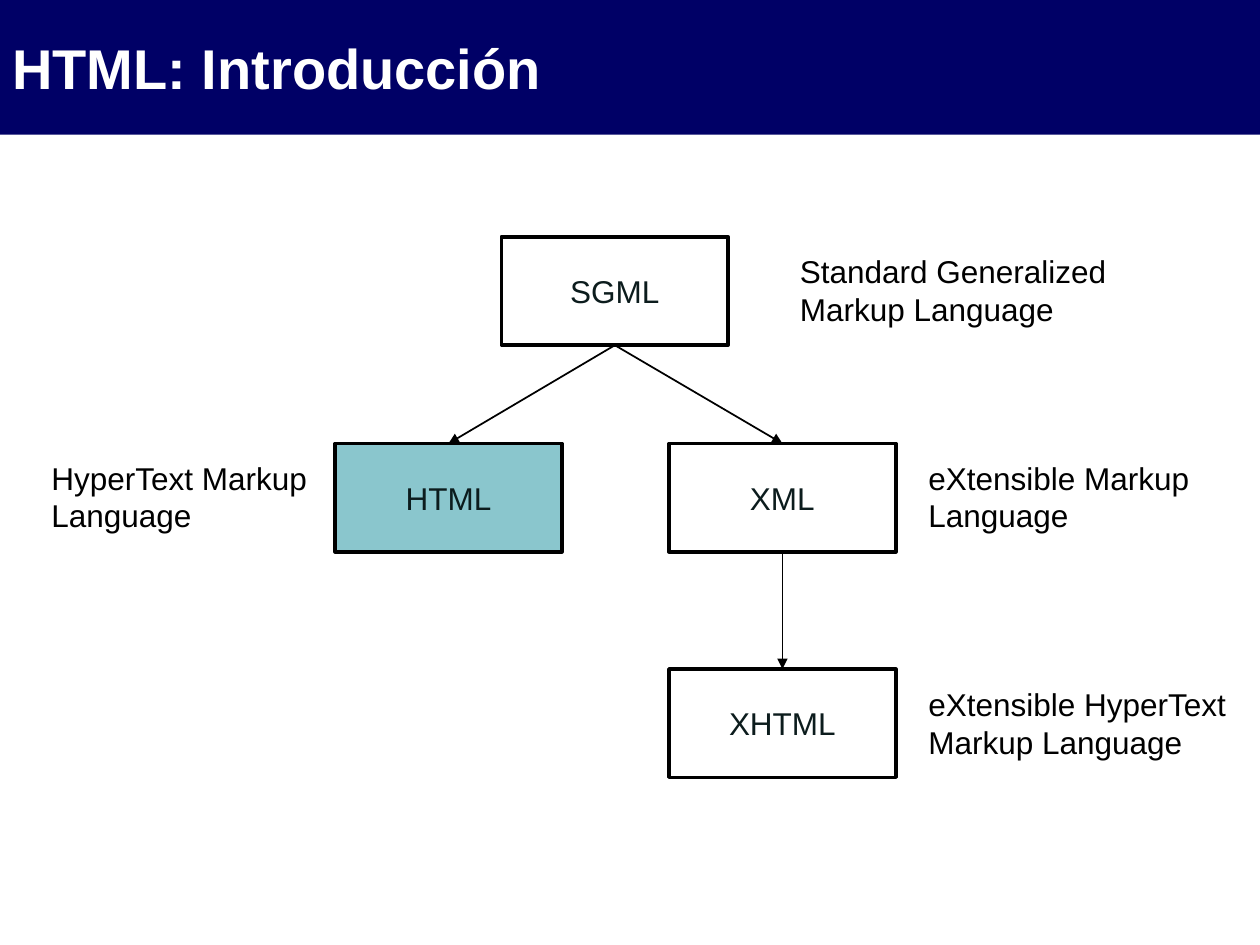
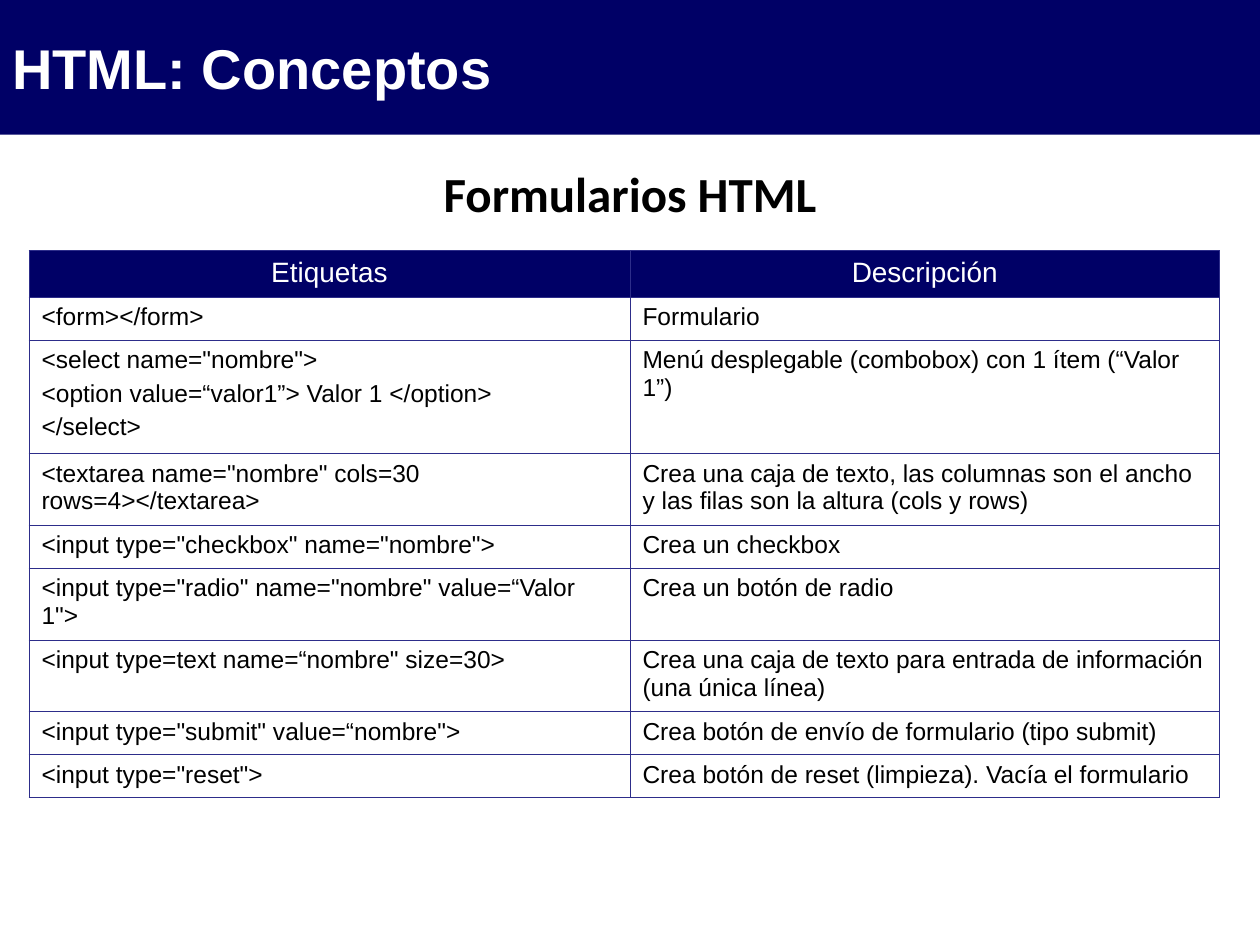
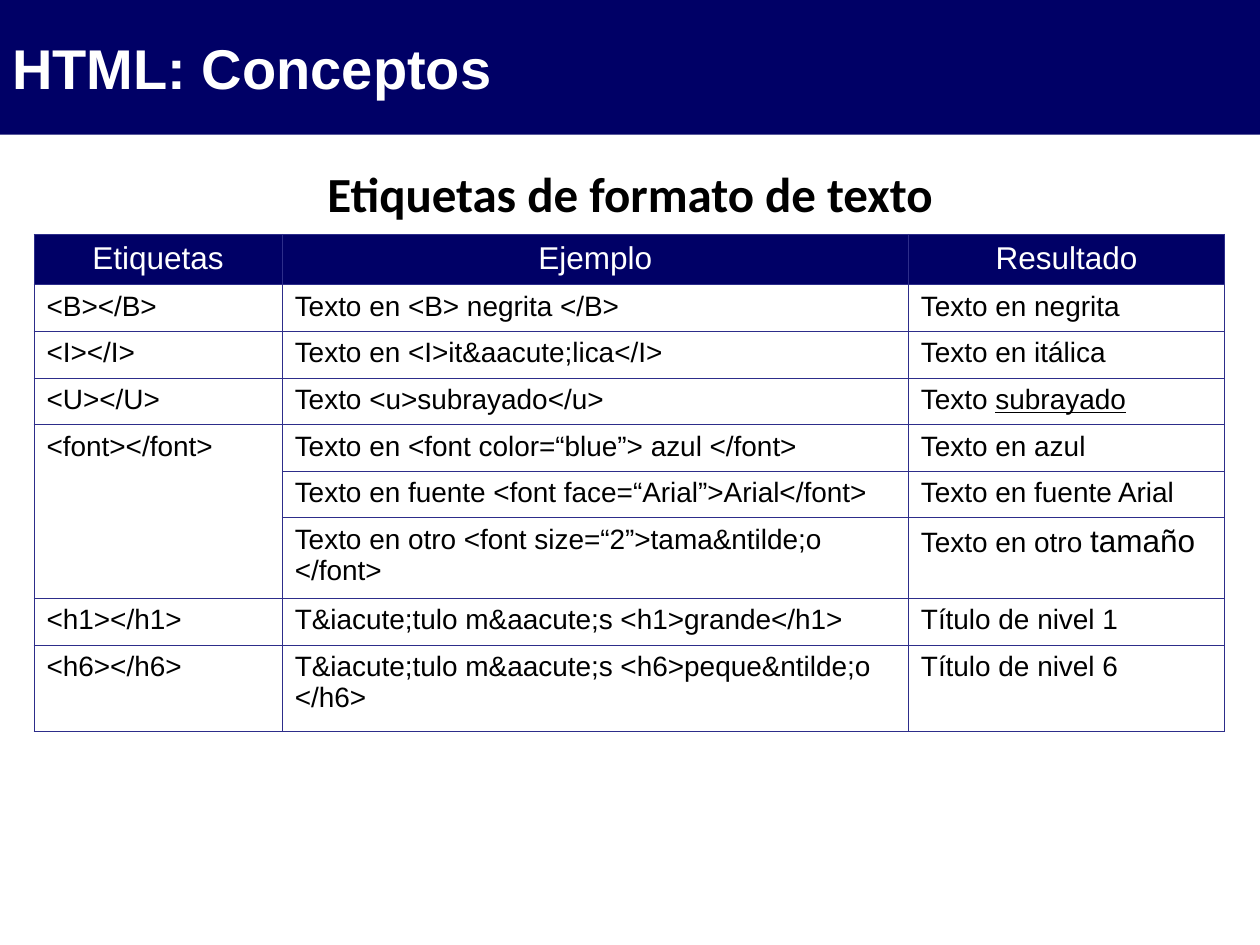
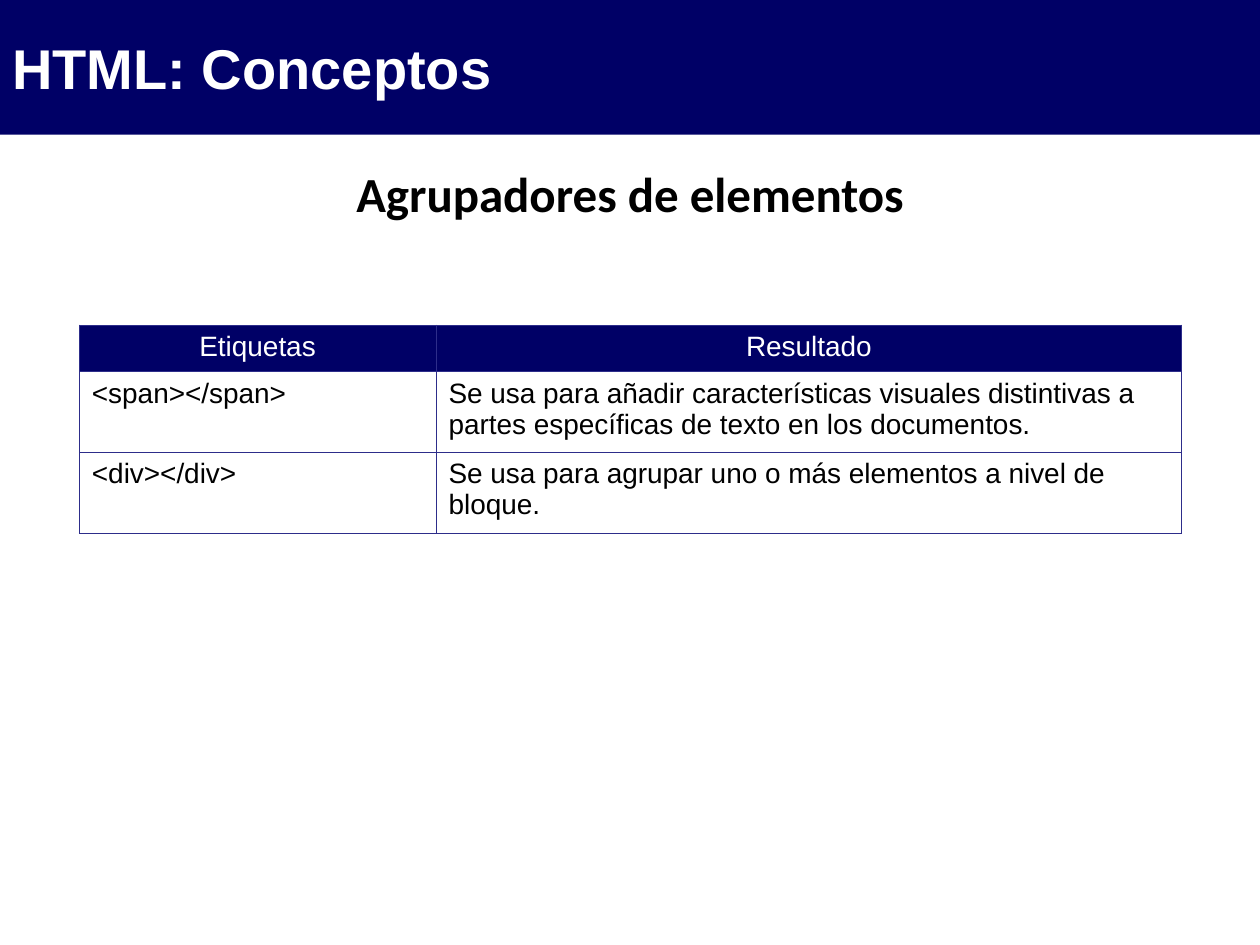
import dataclasses

import pptx
import pptx.dml.color
import pptx.enum.shapes
import pptx.enum.text
import pptx.oxml
import pptx.oxml.ns
import pptx.util

Inches = pptx.util.Inches
Pt = pptx.util.Pt
RGB = pptx.dml.color.RGBColor.from_string
SHAPE = pptx.enum.shapes.MSO_SHAPE
ALIGN = pptx.enum.text.PP_ALIGN
ANCHOR = pptx.enum.text.MSO_ANCHOR
NS = pptx.oxml.ns.nsdecls("a")


@dataclasses.dataclass(frozen=True)
class Theme:
    navy: str = "000066"
    white: str = "FFFFFF"
    black: str = "000000"
    box_text: str = "0C1C1D"
    highlight: str = "8AC6CD"
    grid: str = "2D2D8A"
    font: str = "Arial"
    heading_font: str = "Calibri"
    title_size: float = 32
    heading_size: float = 28
    label_size: float = 18
    outline: float = 2
    arrow: float = 1
    grid_line: float = 0.45


class Deck:
    """Holds the style and the slide being built."""

    def __init__(self, theme):
        self.theme = theme
        self.prs = pptx.Presentation()
        self.prs.slide_width, self.prs.slide_height = Inches(10), Inches(7.5)
        self.s = None

    def slide(self, title, heading=None):
        t = self.theme
        self.s = self.prs.slides.add_slide(self.prs.slide_layouts[6])
        band = self.rect(0, 0, 10, 1.07, t.navy)
        self.add_run(band.text_frame.paragraphs[0], title, t.title_size, t.white, bold=True)
        if heading:
            self.text(0, 1.25, 10, 0.57, heading, t.heading_size,
                      font=t.heading_font, bold=True, align=ALIGN.CENTER)

    def add_run(self, p, text, size, color, font=None, bold=False, underline=None,
                align=ALIGN.LEFT):
        p.alignment = align
        r = p.add_run()
        r.text = text
        f = r.font
        f.name, f.size, f.bold, f.underline = font or self.theme.font, Pt(size), bold, underline
        f.color.rgb = RGB(color)

    def rect(self, x, y, w, h, fill, line=None):
        sp = self.s.shapes.add_shape(SHAPE.RECTANGLE, Inches(x), Inches(y), Inches(w), Inches(h))
        sp.shadow.inherit = False
        sp.fill.solid()
        sp.fill.fore_color.rgb = RGB(fill)
        if line:
            sp.line.color.rgb = RGB(line)
            sp.line.width = Pt(self.theme.outline)
        else:
            sp.line.fill.background()
        sp.text_frame.word_wrap = True
        sp.text_frame.vertical_anchor = ANCHOR.MIDDLE
        return sp

    def box(self, x, y, text, fill=None):
        t = self.theme
        sp = self.rect(x, y, 1.8, 0.86, fill or t.white, t.black)
        self.add_run(sp.text_frame.paragraphs[0], text, t.label_size, t.box_text,
                     align=ALIGN.CENTER)
        return sp

    def text(self, x, y, w, h, text, size, **style):
        tf = self.s.shapes.add_textbox(Inches(x), Inches(y), Inches(w), Inches(h)).text_frame
        tf.word_wrap = True
        tf.auto_size = pptx.enum.text.MSO_AUTO_SIZE.SHAPE_TO_FIT_TEXT
        self.add_run(tf.paragraphs[0], text, size, self.theme.black, **style)

    def arrow(self, parent, child):
        """Joins the bottom of one box to the top of another."""
        line = self.s.shapes.add_connector(pptx.enum.shapes.MSO_CONNECTOR.STRAIGHT, 0, 0, 0, 0)
        line.begin_connect(parent, 2)
        line.end_connect(child, 0)
        line.line.color.rgb = RGB(self.theme.black)
        line.line.width = Pt(self.theme.arrow)
        spPr = line._element.spPr
        spPr.find(pptx.oxml.ns.qn("a:ln")).append(
            pptx.oxml.parse_xml(f'<a:tailEnd {NS} type="triangle"/>'))
        spPr.append(pptx.oxml.parse_xml(f"<a:effectLst {NS}/>"))

    def table(self, x, y, widths, heights, rows, size, header_size=None):
        """Draws a header and body rows; None continues the cell above."""
        t = self.theme
        tbl = self.s.shapes.add_table(
            len(rows), len(widths), Inches(x), Inches(y),
            Inches(sum(widths)), Inches(sum(heights))).table
        tbl.first_row = tbl.horz_banding = False
        for column, w in zip(tbl.columns, widths):
            column.width = Inches(w)
        for row, h in zip(tbl.rows, heights):
            row.height = Inches(h)
        for i, row in enumerate(rows):
            for j, content in enumerate(row):
                cell = tbl.cell(i, j)
                self.borders(cell)
                if i == 0:
                    cell.fill.solid()
                    cell.fill.fore_color.rgb = RGB(t.navy)
                    self.fill_cell(cell, content, header_size or size, t.white, ALIGN.CENTER)
                else:
                    cell.fill.background()
                    if content is not None:
                        self.fill_cell(cell, content, size, t.black, ALIGN.LEFT)
        for j in range(len(widths)):
            for i in range(len(rows)):
                end = i
                while end + 1 < len(rows) and rows[end + 1][j] is None:
                    end += 1
                if end > i and rows[i][j] is not None:
                    tbl.cell(i, j).merge(tbl.cell(end, j))

    def fill_cell(self, cell, content, size, color, align):
        """Takes text with one paragraph a line, or a list of (text, style) runs."""
        if isinstance(content, str):
            paragraphs = [[(line, {})] for line in content.split("\n")]
        else:
            paragraphs = [content]
        tf = cell.text_frame
        for k, runs in enumerate(paragraphs):
            p = tf.add_paragraph() if k else tf.paragraphs[0]
            styles = [{"size": size, **style} for _, style in runs]
            p.space_before = Pt(max(style["size"] for style in styles) / 4)
            for (text, _), style in zip(runs, styles):
                self.add_run(p, text, color=color, align=align, **style)

    def borders(self, cell):
        tcPr = cell._tc.get_or_add_tcPr()
        for k, side in enumerate("LRTB"):
            tcPr.insert(k, pptx.oxml.parse_xml(
                f'<a:ln{side} {NS} w="{int(Pt(self.theme.grid_line))}"><a:solidFill>'
                f'<a:srgbClr val="{self.theme.grid}"/></a:solidFill></a:ln{side}>'))


def introduction(deck):
    t = deck.theme
    deck.slide("HTML: Introducción")
    sgml = deck.box(3.98, 1.88, "SGML")
    html = deck.box(2.66, 3.52, "HTML", t.highlight)
    xml = deck.box(5.31, 3.52, "XML")
    xhtml = deck.box(5.31, 5.31, "XHTML")
    for parent, child in ((sgml, html), (sgml, xml), (xml, xhtml)):
        deck.arrow(parent, child)
    for x, y, w, meaning in (
        (6.25, 1.95, 2.73, "Standard Generalized Markup Language"),
        (7.27, 3.59, 2.73, "eXtensible Markup Language"),
        (7.27, 5.39, 2.73, "eXtensible HyperText Markup Language"),
        (0.31, 3.59, 2.27, "HyperText Markup Language"),
    ):
        deck.text(x, y, w, 0.7, meaning, t.label_size)


def forms(deck):
    deck.slide("HTML: Conceptos", "Formularios HTML")
    rows = [
        ("Etiquetas", "Descripción"),
        ("<form></form>", "Formulario"),
        ('<select name="nombre">\n<option value=“valor1”> Valor 1 </option>\n</select>',
         "Menú desplegable (combobox) con 1 ítem (“Valor 1”)"),
        ('<textarea name="nombre" cols=30 rows=4></textarea>',
         "Crea una caja de texto, las columnas son el ancho y las filas son la altura (cols y rows)"),
        ('<input type="checkbox" name="nombre">', "Crea un checkbox"),
        ('<input type="radio" name="nombre" value=“Valor 1">', "Crea un botón de radio"),
        ('<input type=text name=“nombre" size=30>',
         "Crea una caja de texto para entrada de información (una única línea)"),
        ('<input type="submit" value=“nombre">', "Crea botón de envío de formulario (tipo submit)"),
        ('<input type="reset">', "Crea botón de reset (limpieza). Vacía el formulario"),
    ]
    heights = [0.37, 0.34, 0.9, 0.57, 0.34, 0.57, 0.57, 0.34, 0.34]
    deck.table(0.23, 1.99, [4.77, 4.68], heights, rows, 14, 16)


def text_format(deck):
    deck.slide("HTML: Conceptos", "Etiquetas de formato de texto")
    rows = [
        ("Etiquetas", "Ejemplo", "Resultado"),
        ("<B></B>", "Texto en <B> negrita </B>", "Texto en negrita"),
        ("<I></I>", "Texto en <I>it&aacute;lica</I>", "Texto en itálica"),
        ("<U></U>", "Texto <u>subrayado</u>", [("Texto ", {}), ("subrayado", {"underline": True})]),
        ("<font></font>", "Texto en <font color=“blue”> azul </font>", "Texto en azul"),
        (None, "Texto en fuente <font face=“Arial”>Arial</font>", "Texto en fuente Arial"),
        (None, "Texto en otro <font size=“2”>tama&ntilde;o </font>",
         [("Texto en otro ", {}), ("tamaño", {"size": 18})]),
        ("<h1></h1>", "T&iacute;tulo m&aacute;s <h1>grande</h1>", "Título de nivel 1"),
        ("<h6></h6>", "T&iacute;tulo m&aacute;s <h6>peque&ntilde;o </h6>", "Título de nivel 6"),
    ]
    heights = [0.4] + [0.37] * 5 + [0.64, 0.37, 0.69]
    deck.table(0.27, 1.86, [1.97, 4.97, 2.51], heights, rows, 16, 18)


def grouping(deck):
    deck.slide("HTML: Conceptos", "Agrupadores de elementos")
    rows = [
        ("Etiquetas", "Resultado"),
        ("<span></span>", "Se usa para añadir características visuales distintivas a "
                          "partes específicas de texto en los documentos."),
        ("<div></div>", "Se usa para agrupar uno o más elementos a nivel de bloque."),
    ]
    deck.table(0.63, 2.58, [2.83, 5.92], [0.37, 0.64, 0.64], rows, 16)


def main():
    deck = Deck(Theme())
    for build in (introduction, forms, text_format, grouping):
        build(deck)
    deck.prs.save("out.pptx")


if __name__ == "__main__":
    main()
